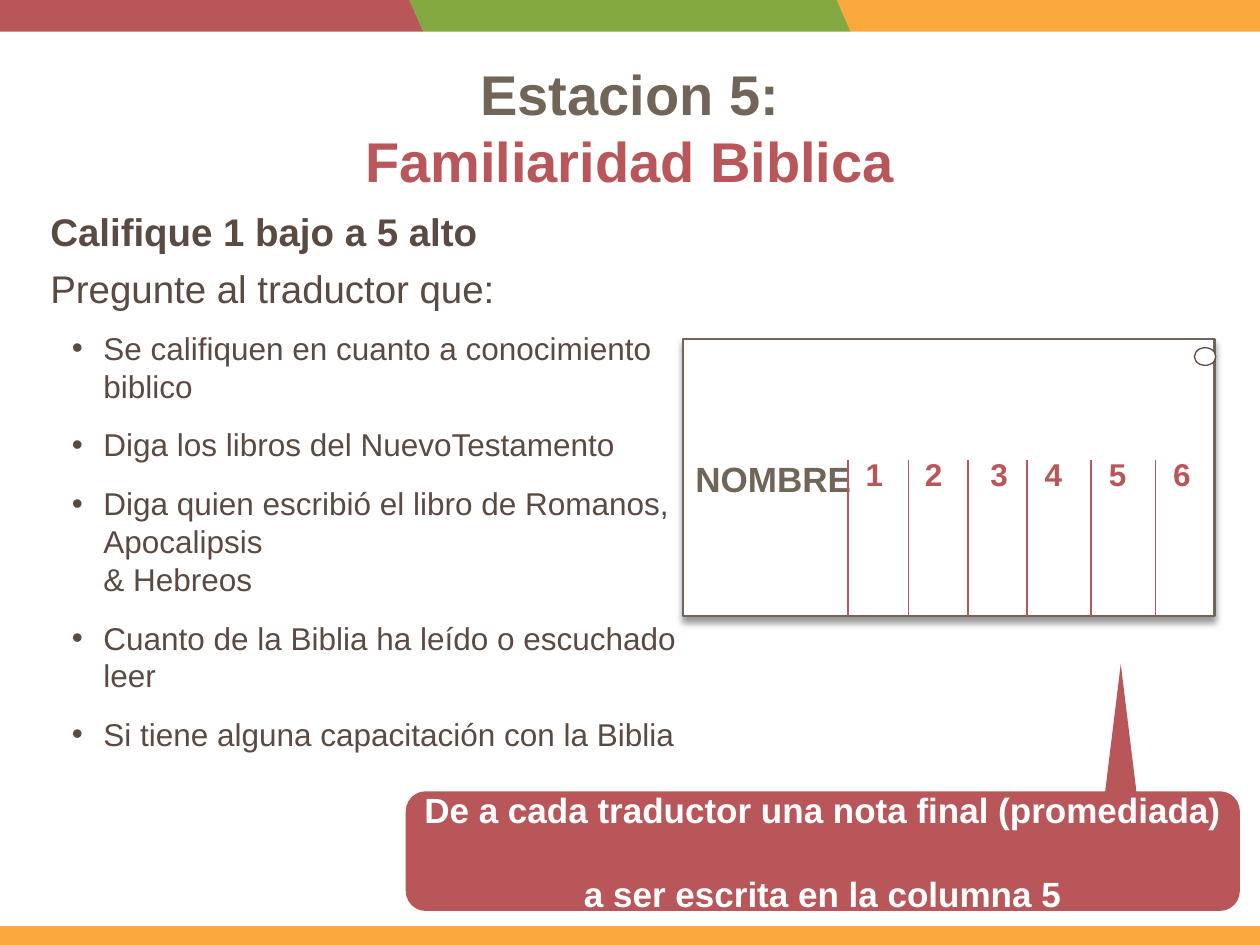
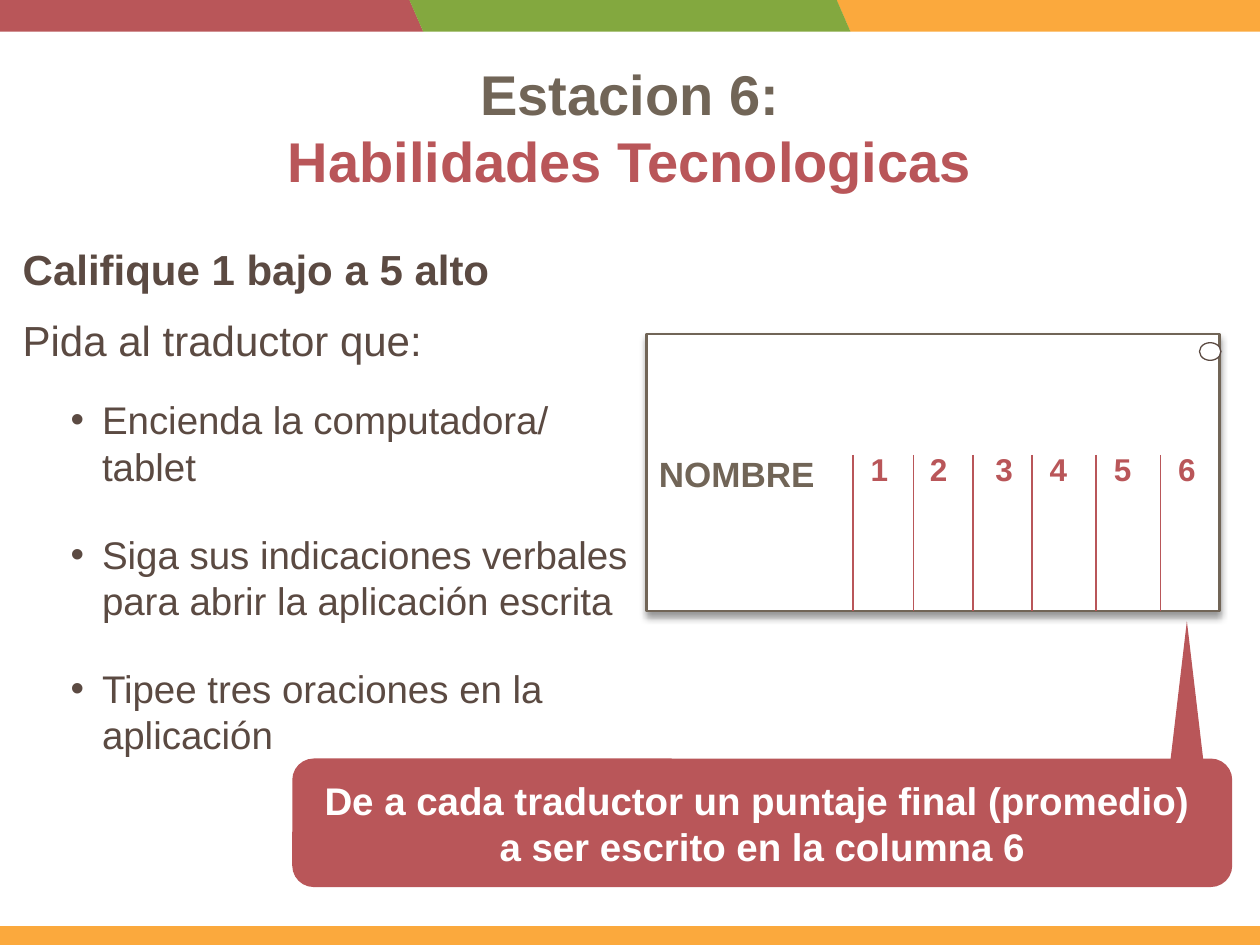
from lxml.etree import SubElement
from pptx import Presentation
from pptx.dml.color import RGBColor as Rgb
from pptx.enum.shapes import MSO_CONNECTOR as Link, MSO_SHAPE as Kind
from pptx.enum.text import MSO_ANCHOR as Anchor, MSO_AUTO_SIZE as Fit, PP_ALIGN as Align
from pptx.oxml.ns import qn
from pptx.util import Inches, Pt

HUES = {"red": "B95659", "green": "83A83F", "gold": "FBA93D",
        "taupe": "716557", "brown": "5B4A42", "white": "FFFFFF", "black": "000000"}
FONT = "Arial"
RULES = (2.91, 2.43, 1.96, 1.49, 0.98, 0.47)
MARKS = (2.7, 2.23, 1.71, 1.28, 0.77, 0.26)


class Deck:
    def __init__(self):
        self.prs = Presentation()
        self.prs.slide_width, self.prs.slide_height = Inches(10), Inches(7.5)
        self.slide = None

    def hue(self, name):
        return Rgb.from_string(HUES[name])

    def page(self, head, topic):
        self.slide = self.prs.slides.add_slide(self.prs.slide_layouts[1])
        for slot, name in ((2, "gold"), (0, "red"), (1, "green")):
            band = self.shape(Kind.PARALLELOGRAM, -0.14 + 3.39 * slot, 0, 3.5, 0.25, name)
            band.adjustments[0] = 0.436
            band._element.spPr.find(qn("a:xfrm")).set("flipH", "1")
        self.shape(Kind.RECTANGLE, 0, 7.35, 10, 0.15, "gold")
        title = self.place(self.slide.shapes.title, 0.69, 0.42, 8.62, 1.45)
        para = self.frame(title).paragraphs[0]
        para.alignment = Align.CENTER
        self.run(para, head + "\n", 32, "taupe", True)
        self.run(para, topic, 32, "red", True)

    def place(self, item, x, y, w, h):
        item.left, item.top, item.width, item.height = map(Inches, (x, y, w, h))
        return item

    def frame(self, item, pad=None, anchor=Anchor.TOP):
        text = item.text_frame
        text.word_wrap, text.auto_size = True, Fit.NONE
        text.vertical_anchor = anchor
        if pad is not None:
            text.margin_left = text.margin_right = Inches(pad)
            text.margin_top = text.margin_bottom = Inches(pad)
        return text

    def body(self, x, y, w, h, pad=None):
        return self.frame(self.place(self.slide.placeholders[1], x, y, w, h), pad)

    def box(self, x, y, w, h, pad=None, anchor=Anchor.TOP):
        size = map(Inches, (x, y, w, h))
        return self.frame(self.slide.shapes.add_textbox(*size), pad, anchor)

    def run(self, para, text, size, color, bold=False):
        for i, part in enumerate(text.split("\n")):
            if i:
                para.add_line_break()
                SubElement(para._p[-1], qn("a:rPr"), sz=str(size * 100))
            if part:
                run = para.add_run()
                run.text = part
                font = run.font
                font.name, font.size, font.bold = FONT, Pt(size), bold
                font.color.rgb = self.hue(color)

    def para(self, text, words, size, bold=False, before=0, after=6, dot=None):
        first = not text.paragraphs[0].runs
        para = text.paragraphs[0] if first else text.add_paragraph()
        props = para._p.get_or_add_pPr()
        if dot is None:
            props.set("marL", "0")
            props.set("indent", "0")
            SubElement(props, qn("a:buNone"))
        else:
            para.level = 1
            props.set("marL", str(Inches(dot)))
            props.set("indent", str(-Inches(0.25)))
            SubElement(props, qn("a:buFont"), typeface=FONT)
            SubElement(props, qn("a:buChar"), char="•")
        para.space_before = Pt(0 if first else before)
        para.space_after = Pt(after)
        self.run(para, words, size, "brown", bold)

    def shape(self, kind, x, y, w, h, fill, line=None, width=1):
        item = self.slide.shapes.add_shape(kind, *map(Inches, (x, y, w, h)))
        item.shadow.inherit = False
        item.fill.solid()
        item.fill.fore_color.rgb = self.hue(fill)
        if line:
            item.line.color.rgb = self.hue(line)
            item.line.width = Pt(width)
        else:
            item.line.fill.background()
        return item

    def shade(self, item):
        glow = SubElement(item._element.spPr.find(qn("a:effectLst")), qn("a:outerShdw"),
                          blurRad=str(Pt(4)), dist=str(Pt(3)), dir="5400000", rotWithShape="0")
        tint = SubElement(glow, qn("a:srgbClr"), val=HUES["black"])
        SubElement(tint, qn("a:alpha"), val="40000")

    def rule(self, x, top, end):
        line = self.slide.shapes.add_connector(Link.STRAIGHT, *map(Inches, (x, top, x, end)))
        line.line.color.rgb = self.hue("red")
        line.line.width = Pt(1)
        SubElement(line._element.spPr, qn("a:effectLst"))

    def card(self, left, top, right):
        sheet = self.shape(Kind.RECTANGLE, left, top, right - left, 2.2, "white", "taupe", 1.5)
        self.shade(sheet)
        text = self.frame(sheet)
        text.margin_top = Inches(0.94)
        label = text.paragraphs[0]
        label.alignment = Align.LEFT
        self.run(label, "NOMBRE", 20, "taupe", True)
        for gap in RULES:
            self.rule(right - gap, top + 0.96, top + 2.2)
        self.shape(Kind.OVAL, right - 0.16, top + 0.07, 0.17, 0.14, "white", "brown", 0.75)
        for num, gap in enumerate(MARKS, 1):
            mark = self.box(right - gap - 0.21, top + 0.87, 0.42, 0.4, anchor=Anchor.MIDDLE)
            mark.paragraphs[0].alignment = Align.CENTER
            self.run(mark.paragraphs[0], str(num), 18, "red", True)

    def callout(self, words, size, spot, tip):
        x, y, w = tip
        self.shape(Kind.ISOSCELES_TRIANGLE, x, y, w, spot[1] - y + 0.01, "red")
        note = self.shape(Kind.ROUNDED_RECTANGLE, *spot, "red")
        para = self.frame(note, anchor=Anchor.MIDDLE).paragraphs[0]
        para.alignment = Align.CENTER
        self.run(para, words, size, "white", True)


def main():
    deck = Deck()
    grade = "Califique 1 bajo a 5 alto"

    deck.page("Estacion 5:", "Familiaridad Biblica")
    intro = deck.box(0.34, 1.59, 4.04, 1.02, 0.06)
    deck.para(intro, grade, 22, True)
    deck.para(intro, "Pregunte al traductor que:", 22)
    deck.callout("De a cada traductor una nota final (promediada) \na ser escrita en la columna 5",
                 20, (3.22, 6.28, 6.62, 0.95), (8.77, 5.27, 0.25))
    tasks = deck.body(0.47, 2.56, 5.15, 3.5)
    for words in ("Se califiquen en cuanto a conocimiento biblico",
                  "Diga los libros del NuevoTestamento",
                  "Diga quien escribió el libro de Romanos, Apocalipsis \n& Hebreos",
                  "Cuanto de la Biblia ha leído o escuchado leer",
                  "Si tiene alguna capacitación con la Biblia"):
        deck.para(tasks, words, 18, after=12, dot=0.25)
    deck.card(5.42, 2.69, 9.64)

    deck.page("Estacion 6:", "Habilidades Tecnologicas")
    deck.callout("De a cada traductor un puntaje final (promedio) \na ser escrito en la columna 6",
                 22, (2.32, 6.02, 7.46, 1.02), (9.29, 4.93, 0.26))
    tasks = deck.body(0.12, 1.87, 5.01, 4.4, 0.06)
    deck.para(tasks, grade, 24, True)
    deck.para(tasks, "Pida al traductor que:", 24, before=6)
    for words in ("Encienda la computadora/ tablet",
                  "Siga sus indicaciones verbales para abrir la aplicación escrita",
                  "Tipee tres oraciones en la aplicación"):
        deck.para(tasks, words, 22, before=12, after=12, dot=0.63)
    deck.card(5.13, 2.65, 9.68)

    deck.prs.save("out.pptx")


if __name__ == "__main__":
    main()
